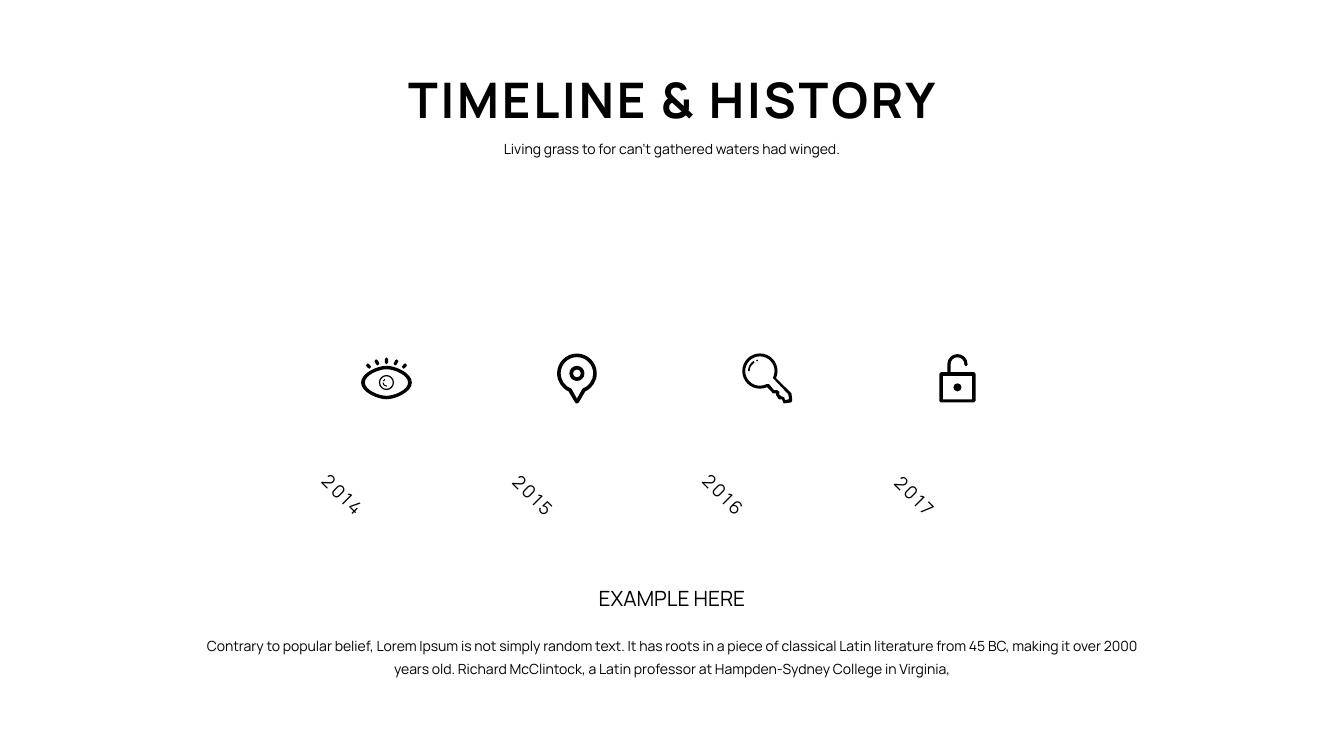
from math import atan2, ceil, cos, degrees, floor, radians, sin, tan

from lxml import etree
from pptx import Presentation
from pptx import util as u
from pptx.dml.color import RGBColor
from pptx.enum import text
from pptx.oxml import ns

BLACK = RGBColor(0, 0, 0)
WHITE = RGBColor(255, 255, 255)
FONT = "Manrope"
UNIT = u.Cm(0.001)


def arc(cx, cy, r, start, end):
    """Return a start point and Bezier curves along an arc, cut at each quarter."""
    low, high = sorted((start, end))
    cuts = [low] + [90 * q for q in range(floor(low / 90) + 1, ceil(high / 90))] + [high]
    if start > end:
        cuts.reverse()
    out = [(cx + r * cos(radians(start)), cy + r * sin(radians(start)))]
    for a, b in zip(map(radians, cuts), map(radians, cuts[1:])):
        k = 4 / 3 * tan((b - a) / 4)
        out.append((cx + r * (cos(a) - k * sin(a)), cy + r * (sin(a) + k * cos(a)),
                    cx + r * (cos(b) + k * sin(b)), cy + r * (sin(b) - k * cos(b)),
                    cx + r * cos(b), cy + r * sin(b)))
    return out


def circle(cx, cy, r):
    """Return a full circle."""
    return arc(cx, cy, r, 0, 360)


def band(r, width, start, end):
    """Return a curved band around the icon's centre."""
    return arc(0, 0, r, start, end) + arc(0, 0, r - width, end, start)


def capsule(x0, y0, x1, y1, r):
    """Return a bar with two round ends."""
    a = degrees(atan2(y1 - y0, x1 - x0))
    return arc(x1, y1, r, a - 90, a + 90) + arc(x0, y0, r, a + 90, a + 270)


def almond(rx, ry, kx=0.35, ky=0.57):
    """Return an eye outline made of four Bezier quarters."""
    x, y = rx * kx, ry * ky
    return [(0, -ry), (x, -ry, rx, -y, rx, 0), (rx, y, x, ry, 0, ry),
            (-x, ry, -rx, y, -rx, 0), (-rx, -y, -x, -ry, 0, -ry)]


def box(left, top, right, bottom, r=0):
    """Return a rectangle, with round corners if r is given."""
    if not r:
        return [(left, top), (right, top), (right, bottom), (left, bottom)]
    return (arc(left + r, top + r, r, 180, 270) + arc(right - r, top + r, r, 270, 360)
            + arc(right - r, bottom - r, r, 0, 90) + arc(left + r, bottom - r, r, 90, 180))


def eye():
    """Return the one part of the eye."""
    lashes = [capsule(0, -592, 0, -500, 40)]
    for side in (-1, 1):
        lashes.append(capsule(side * 260, -545, side * 220, -470, 40))
        lashes.append(capsule(side * 475, -440, side * 430, -390, 40))
    return [[almond(640, 422), almond(545, 335), circle(0, 0, 190), circle(0, 0, 158),
             band(102, 28, 85, 180), band(102, 28, 205, 245)] + lashes]


def pin():
    """Return the one part of the map pin."""
    return [[arc(0, 0, 500, 115, 425) + [(45, 735), (0, 760), (-45, 735)],
             arc(0, 0, 410, 110, 430) + [(0, 635)],
             circle(0, 0, 190), circle(0, 0, 100)]]


def key():
    """Return the glint, shine and outline of the key."""
    outer_bit = [(795, 560), (815, 740), (790, 790), (610, 815), (585, 790), (560, 715),
                 (500, 715), (470, 700), (410, 610), (410, 560), (380, 560), (330, 560)]
    inner_bit = [(715, 585), (735, 710), (635, 735), (610, 660), (535, 635), (485, 585),
                 (490, 520), (430, 480), (380, 485), (355, 480), (230, 330)]
    return [[circle(-70, -265, 25)], [band(300, 42, 180, 238)],
            [arc(0, 0, 444, 66, 384) + outer_bit, arc(0, 0, 370, 62, 388) + inner_bit]]


def lock():
    """Return the one part of the open lock."""
    shackle = (arc(0, -583, 255, 180, 360) + arc(215, -565, 40, 0, 180)
               + arc(0, -583, 175, 360, 180) + [(-175, -381), (-255, -381)])
    return [[circle(0, 0, 102), box(-457, -381, 457, 381, 40),
             box(-370, -290, 370, 305), shackle]]


def bend(sp, segments):
    """Turn straight segments that have control points into curves."""
    path = sp._element.find(".//" + ns.qn("a:path"))
    origin = path.find(ns.qn("a:moveTo"))[0]
    dx = int(origin.get("x")) - round(segments[0][0][0])
    dy = int(origin.get("y")) - round(segments[0][0][1])
    steps = [step for contour in segments for step in contour[1:]]
    for line, step in zip(path.findall(ns.qn("a:lnTo")), steps):
        if len(step) == 6:
            line.tag = ns.qn("a:cubicBezTo")
            for i in (0, 2):
                pt = etree.Element(ns.qn("a:pt"), x=str(round(step[i]) + dx),
                                   y=str(round(step[i + 1]) + dy))
                line.insert(i // 2, pt)


def add_part(s, contours, x, y):
    """Draw the contours as one black freeform around x, y in cm."""
    builder = s.shapes.build_freeform(*contours[0][0], scale=UNIT)
    for i, steps in enumerate(contours):
        if i:
            builder.move_to(*steps[0])
        builder.add_line_segments([step[-2:] for step in steps[1:]], close=True)
    sp = builder.convert_to_shape(u.Cm(x), u.Cm(y))
    bend(sp, contours)
    sp.shadow.inherit = False
    sp.fill.solid()
    sp.fill.fore_color.rgb = BLACK
    sp.line.fill.background()
    return sp


def add_icon(s, parts, x, y):
    """Draw an icon, and group it if it has several parts."""
    drawn = [add_part(s, contours, x, y) for contours in parts]
    if len(drawn) > 1:
        s.shapes.add_group_shape(drawn)


def set_text(sp, words, size, align=text.PP_ALIGN.CENTER, anchor=text.MSO_ANCHOR.TOP,
             bold=False, spacing=0, leading=1.0):
    """Write one formatted paragraph into a shape."""
    tf = sp.text_frame
    frame = {"word_wrap": True, "vertical_anchor": anchor,
             "auto_size": text.MSO_AUTO_SIZE.SHAPE_TO_FIT_TEXT}
    for name, value in frame.items():
        setattr(tf, name, value)
    p = tf.paragraphs[0]
    for name, value in {"alignment": align, "line_spacing": leading,
                        "space_before": u.Pt(0)}.items():
        setattr(p, name, value)
    r = p.add_run()
    r.text = words
    for name, value in {"name": FONT, "size": u.Pt(size), "bold": bold}.items():
        setattr(r.font, name, value)
    r.font.color.rgb = BLACK
    if spacing:
        r.font._element.set("spc", str(spacing * 100))


def add_label(s, words, place, size, rotation=0, **style):
    """Add a text box at left, top, width, height in cm."""
    sp = s.shapes.add_textbox(*map(u.Cm, place))
    sp.rotation = rotation
    set_text(sp, words, size, **style)
    return sp


def add_title(s, words, place):
    """Move and fill the title placeholder."""
    sp = s.shapes.title
    for name, value in zip(("left", "top", "width", "height"), place):
        setattr(sp, name, u.Cm(value))
    set_text(sp, words, 35, anchor=text.MSO_ANCHOR.MIDDLE, bold=True, spacing=2)


def main():
    """Build the timeline slide."""
    prs = Presentation()
    prs.slide_width, prs.slide_height = u.Cm(33.87), u.Cm(19.05)
    s = prs.slides.add_slide(prs.slide_layouts[5])
    s.background.fill.solid()
    s.background.fill.fore_color.rgb = WHITE
    add_title(s, "TIMELINE & HISTORY", (8.25, 1.62, 17.37, 1.75))
    add_label(s, "Living grass to for can't gathered waters had winged.",
              (11.09, 3.41, 11.68, 0.69), 10)
    milestones = [("2014", eye(), 9.74, 9.64), ("2015", pin(), 14.54, 9.41),
                  ("2016", key(), 19.15, 9.35), ("2017", lock(), 24.13, 9.76)]
    for i, (year, parts, x, y) in enumerate(milestones):
        add_icon(s, parts, x, y)
        add_label(s, year, (5.89 + 4.8 * i, 11.28, 3.91, 0.81), 13, rotation=45,
                  align=text.PP_ALIGN.RIGHT, spacing=2)
    heading = add_label(s, "EXAMPLE HERE", (13.76, 14.63, 6.35, 0.89), 15)
    story = add_label(
        s, "Contrary to popular belief, Lorem Ipsum is not simply random text. It has roots "
        "in a piece of classical Latin literature from 45 BC, making it over 2000 years old. "
        "Richard McClintock, a Latin professor at Hampden-Sydney College in Virginia,",
        (4.55, 15.81, 24.77, 1.35), 10, leading=u.Pt(16))
    s.shapes.add_group_shape([heading, story])
    prs.save("out.pptx")


if __name__ == "__main__":
    main()
